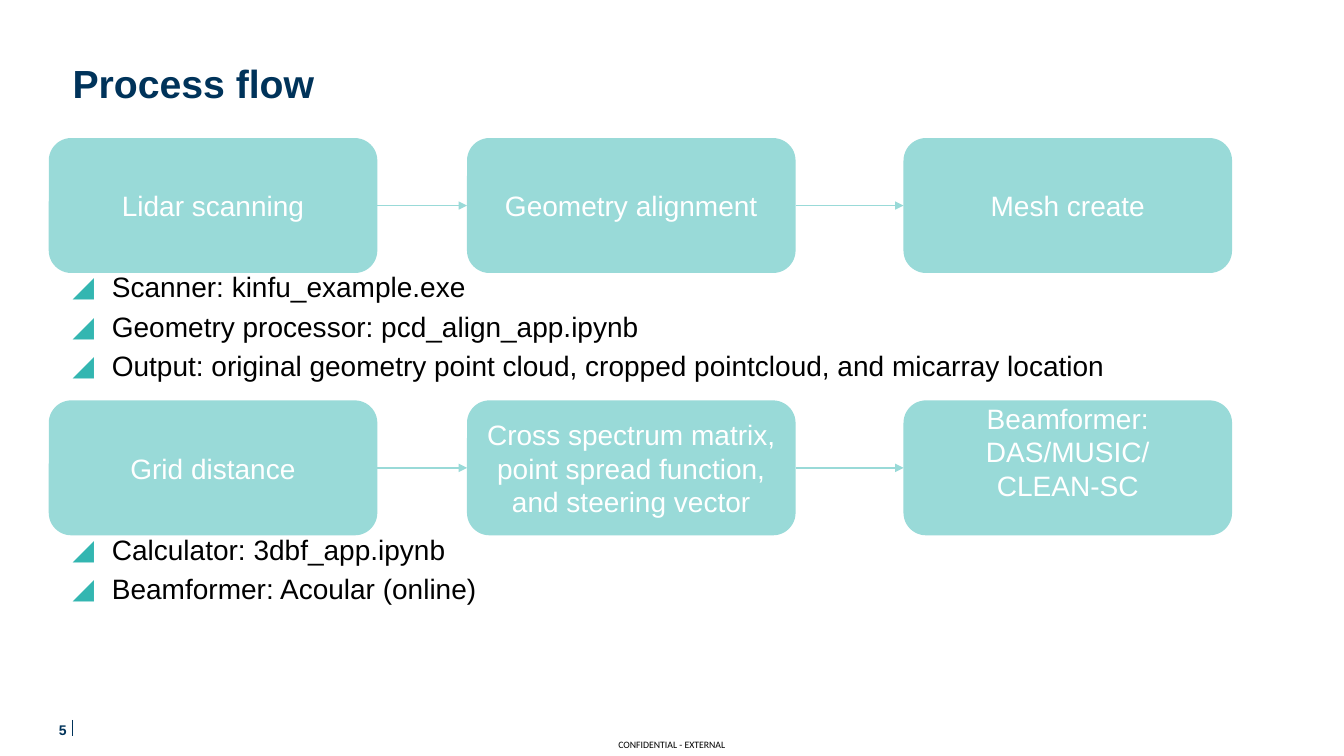
from itertools import pairwise

from lxml.etree import SubElement
from pptx import Presentation
from pptx.dml.color import RGBColor
from pptx.enum.shapes import MSO_CONNECTOR, MSO_SHAPE
from pptx.enum.text import MSO_ANCHOR, MSO_AUTO_SIZE, PP_ALIGN
from pptx.oxml.ns import qn
from pptx.util import Cm, Pt

TITLE = "Process flow"
PAGE_NUMBER = "5"
FOOTER = "CONFIDENTIAL - EXTERNAL"
STAGES = [
    {
        "top": 3.48,
        "steps": [["Lidar scanning"], ["Geometry alignment"], ["Mesh create"]],
        "bullets": [
            "Scanner: kinfu_example.exe",
            "Geometry processor: pcd_align_app.ipynb",
            "Output: original geometry point cloud, cropped pointcloud, and micarray location",
        ],
    },
    {
        "top": 10.09,
        "steps": [
            ["Grid distance"],
            ["Cross spectrum matrix, point spread function, and steering vector"],
            ["Beamformer: DAS/MUSIC/", "CLEAN-SC"],
        ],
        "bullets": ["Calculator: 3dbf_app.ipynb", "Beamformer: Acoular (online)"],
    },
]

NAVY = RGBColor(0x00, 0x33, 0x5A)
TEAL = RGBColor(0x33, 0xB6, 0xB1)
AQUA = RGBColor(0x99, 0xDA, 0xD8)
BLACK = RGBColor(0, 0, 0)
WHITE = RGBColor(255, 255, 255)

MARGIN, CONTENT_WIDTH = 1.83, 30.2
STEP_LEFTS = [1.23, 11.77, 22.77]
STEP_WIDTH, STEP_HEIGHT = 8.28, 3.4
BULLET_INDENT = Cm(0.99)


def style(paragraph, size, color, bold=False, name="Arial", align=PP_ALIGN.LEFT):
    paragraph.alignment = align
    font = paragraph.font
    font.name, font.size, font.bold = name, Pt(size), bold
    font.color.rgb = color


def clear_insets(frame):
    frame.margin_left = frame.margin_right = frame.margin_top = frame.margin_bottom = 0


def add_text(slide, box, lines, anchor=MSO_ANCHOR.TOP):
    frame = slide.shapes.add_textbox(*map(Cm, box)).text_frame
    frame.word_wrap = True
    frame.vertical_anchor = anchor
    clear_insets(frame)
    frame.text = "\n".join(lines)
    return frame


def add_line(slide, color):
    line = slide.shapes.add_connector(MSO_CONNECTOR.STRAIGHT, 0, 0, 0, 0)
    line.line.color.rgb = color
    line.line.width = Pt(1)
    SubElement(line._element.spPr, qn("a:effectLst"))
    return line


def add_arrow(slide, start, end):
    arrow = add_line(slide, AQUA)
    arrow.begin_connect(start, 3)
    arrow.end_connect(end, 1)
    SubElement(arrow.line._get_or_add_ln(), qn("a:tailEnd"), type="triangle")


def add_step(slide, left, top, lines):
    box = map(Cm, (left, top, STEP_WIDTH, STEP_HEIGHT))
    step = slide.shapes.add_shape(MSO_SHAPE.ROUNDED_RECTANGLE, *box)
    step.shadow.inherit = False
    step.fill.solid()
    step.fill.fore_color.rgb = AQUA
    step.line.fill.background()
    frame = step.text_frame
    frame.word_wrap = True
    frame.vertical_anchor = MSO_ANCHOR.MIDDLE
    frame.text = "\n".join(lines)
    if len(lines) > 1:
        frame.margin_bottom = Cm(0.94)
    for paragraph in frame.paragraphs:
        style(paragraph, 20, WHITE, align=PP_ALIGN.CENTER)
    return step


def add_bullets(slide, top, lines):
    frame = add_text(slide, (MARGIN, top, CONTENT_WIDTH, 2.92), lines)
    for paragraph in frame.paragraphs:
        properties = paragraph._p.get_or_add_pPr()
        properties.set("marL", str(BULLET_INDENT))
        properties.set("indent", str(-BULLET_INDENT))
        bullet_color = SubElement(properties, qn("a:buClr"))
        SubElement(bullet_color, qn("a:srgbClr"), val=str(TEAL))
        SubElement(properties, qn("a:buFont"), typeface="Arial")
        SubElement(properties, qn("a:buChar"), char="◢")
        paragraph.line_spacing = 0.92
        paragraph.space_after = Pt(6)
        style(paragraph, 20, BLACK)


def add_title(slide):
    title = slide.shapes.title
    title.left, title.top = Cm(MARGIN), Cm(1.63)
    title.width, title.height = Cm(CONTENT_WIDTH), Cm(1.4)
    frame = title.text_frame
    frame.text = TITLE
    frame.vertical_anchor = MSO_ANCHOR.TOP
    frame.auto_size = MSO_AUTO_SIZE.NONE
    clear_insets(frame)
    frame.paragraphs[0].line_spacing = 0.9
    style(frame.paragraphs[0], 28, NAVY, bold=True)


def add_footer(slide):
    divider = add_line(slide, NAVY)
    divider.begin_x = divider.end_x = Cm(MARGIN)
    divider.begin_y, divider.end_y = Cm(18.14), Cm(18.54)
    footer = add_text(slide, (15.24, 18.47, 3.38, 0.58), [FOOTER], MSO_ANCHOR.MIDDLE)
    style(footer.paragraphs[0], 7, BLACK, name="Calibri", align=PP_ALIGN.CENTER)
    number = add_text(slide, (0.46, 17.74, 1.22, 0.86), [PAGE_NUMBER], MSO_ANCHOR.BOTTOM)
    style(number.paragraphs[0], 10, NAVY, bold=True, align=PP_ALIGN.RIGHT)


def main():
    presentation = Presentation()
    presentation.slide_width, presentation.slide_height = Cm(33.87), Cm(19.05)
    slide = presentation.slides.add_slide(presentation.slide_layouts.get_by_name("Title Only"))
    add_title(slide)
    add_footer(slide)
    for stage in STAGES:
        top = stage["top"]
        add_bullets(slide, top + STEP_HEIGHT, stage["bullets"])
        steps = [add_step(slide, left, top, lines) for left, lines in zip(STEP_LEFTS, stage["steps"])]
        for start, end in pairwise(steps):
            add_arrow(slide, start, end)
    presentation.save("out.pptx")


if __name__ == "__main__":
    main()
